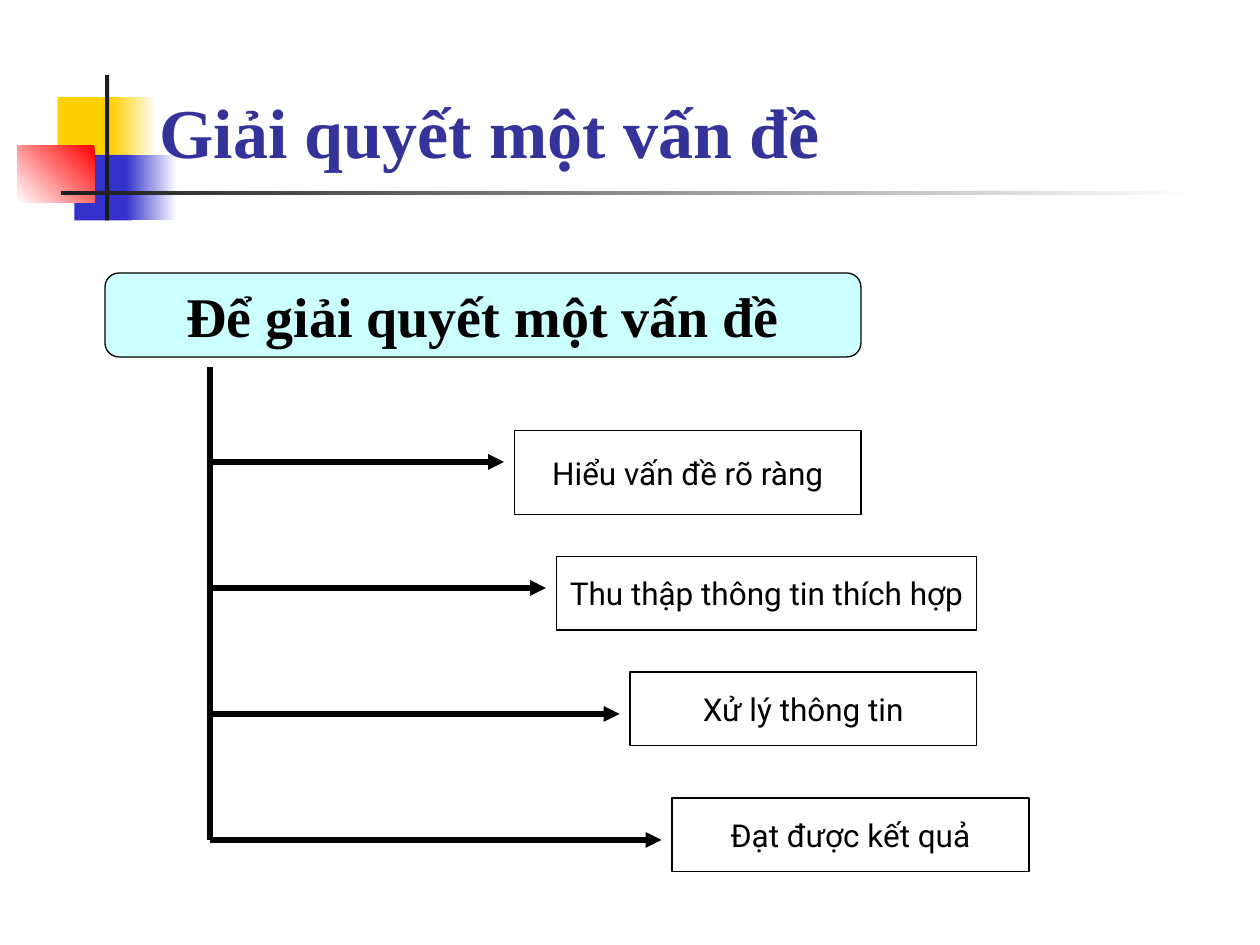
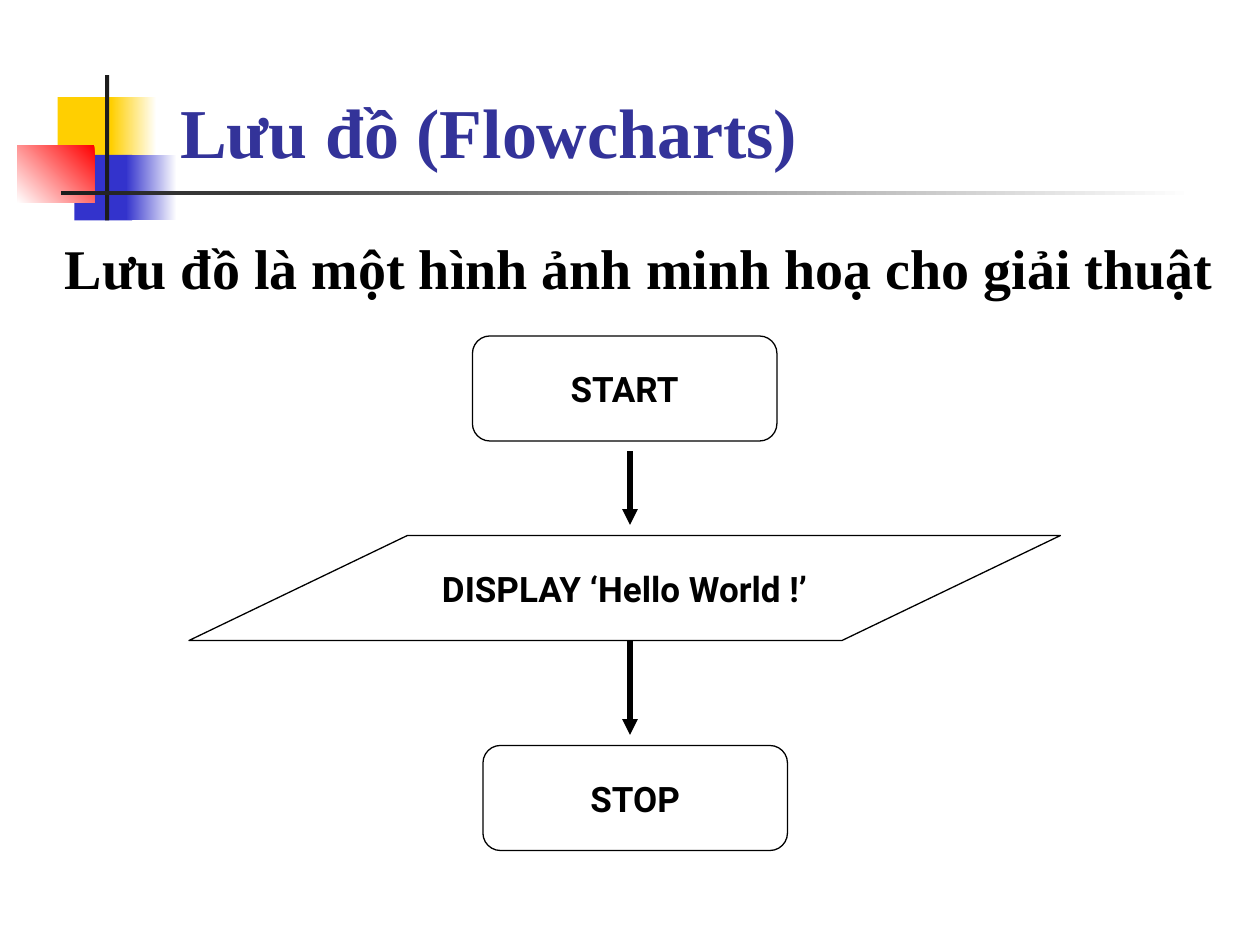
from lxml.etree import SubElement
from pptx import Presentation
from pptx.dml.color import RGBColor
from pptx.enum.shapes import MSO_CONNECTOR, MSO_SHAPE
from pptx.enum.text import MSO_ANCHOR, PP_ALIGN
from pptx.oxml.ns import qn
from pptx.util import Pt

WHITE = RGBColor(0xFF, 0xFF, 0xFF)
BLACK = RGBColor(0x00, 0x00, 0x00)
YELLOW = RGBColor(0xFF, 0xCF, 0x01)
BLUE = RGBColor(0x33, 0x33, 0xCC)
RED = RGBColor(0xFF, 0x00, 0x00)
DARK = RGBColor(0x1C, 0x1C, 0x1C)
NAVY = RGBColor(0x33, 0x33, 0x99)
CYAN = RGBColor(0xCC, 0xFF, 0xFF)
SERIF = "Times New Roman"
SANS = "Roboto"


def write(frame, text, face, size, bold=False, color=BLACK):
    """Put one styled paragraph in a text frame and return it."""
    para = frame.paragraphs[0]
    para.text = text
    font = para.font
    font.name, font.size, font.bold = face, Pt(size), bold
    font.color.rgb = color
    return para


def block(slide, box, fill, kind=MSO_SHAPE.RECTANGLE):
    """Add a flat shape without an outline."""
    shape = slide.shapes.add_shape(kind, *map(Pt, box))
    shape.shadow.inherit = False
    shape.line.fill.background()
    shape.fill.solid()
    shape.fill.fore_color.rgb = fill
    return shape


def fade(slide, box, start, end, angle=180):
    """Add a block with a two-colour gradient."""
    fill = block(slide, box, start).fill
    fill.gradient()
    fill.gradient_angle = angle
    for stop, color, place in zip(fill.gradient_stops, (start, end), (0, 1)):
        stop.color.rgb = color
        stop.position = place


def node(slide, box, text, face, size, bold=False, fill=WHITE,
         kind=MSO_SHAPE.RECTANGLE):
    """Add an outlined shape with centred text."""
    shape = block(slide, box, fill, kind)
    shape.line.color.rgb = BLACK
    shape.line.width = Pt(0.75)
    frame = shape.text_frame
    frame.word_wrap = False
    frame.vertical_anchor = MSO_ANCHOR.MIDDLE
    write(frame, text, face, size, bold).alignment = PP_ALIGN.CENTER
    return shape


def link(slide, ends, head=True):
    """Draw a thick straight line, with an arrowhead if asked."""
    line = slide.shapes.add_connector(MSO_CONNECTOR.STRAIGHT, *map(Pt, ends))
    line.line.color.rgb = BLACK
    line.line.width = Pt(3)
    props = line.element.spPr
    if head:
        SubElement(props.get_or_add_ln(), qn("a:tailEnd"), type="triangle")
    SubElement(props, qn("a:effectLst"))


def label(slide, box, text, size, color=BLACK, anchor=MSO_ANCHOR.TOP):
    """Add a bold serif text box."""
    frame = slide.shapes.add_textbox(*map(Pt, box)).text_frame
    frame.word_wrap = True
    frame.vertical_anchor = anchor
    write(frame, text, SERIF, size, True, color)


def motif(slide, left, top):
    """Draw the coloured squares and crossing rules from a corner."""
    def at(x, y, wide, high):
        return left + x, top + y, wide, high

    block(slide, at(23, 12.5, 34.5, 37.5), YELLOW)
    fade(slide, at(53.5, 12.5, 26, 37.5), WHITE, YELLOW)
    block(slide, at(32.5, 45.5, 33, 37.5), BLUE)
    fade(slide, at(62, 45.5, 29, 37.5), WHITE, BLUE)
    fade(slide, at(0, 40, 44, 33), RED, WHITE, 225)
    block(slide, at(50, 0, 2.4, 83), DARK)
    fade(slide, at(24.6, 66.2, 648, 2.4), WHITE, DARK)


def page(deck, title, left):
    """Add a slide with the shared motif and title."""
    slide = deck.slides.add_slide(deck.slide_layouts[6])
    motif(slide, 10, 43)
    box = (left, 36, 702 - left, 66)
    label(slide, box, title, 40, NAVY, MSO_ANCHOR.BOTTOM)
    return slide


def tree(slide, left, top):
    """Draw the banner and its four branching steps."""
    banner = (left, top, 432, 48)
    node(slide, banner, "Ðể giải quyết một vấn đề", SERIF, 32, True,
         CYAN, MSO_SHAPE.ROUNDED_RECTANGLE)
    stem, first, gap = left + 60, top + 108, 72
    steps = (
        (234, 90, 198, 48, "Hiểu vấn đề rõ ràng"),
        (258, 162, 240, 42, "Thu thập thông tin thích hợp"),
        (300, 228, 198, 42, "Xử lý thông tin"),
        (324, 300, 204, 42, "Ðạt được kết quả"),
    )
    for row, (x, y, wide, high, text) in enumerate(steps):
        level = first + row * gap
        link(slide, (stem, level, left + x - 6, level))
        node(slide, (left + x, top + y, wide, high), text, SANS, 18)
    link(slide, (stem, top + 54, stem, level), False)


def flow(slide, left, top):
    """Draw the three-step flowchart with its arrows."""
    round_box = MSO_SHAPE.ROUNDED_RECTANGLE
    steps = (
        (162, 0, 174, "START", round_box),
        (0, 114, 498, "DISPLAY ‘Hello World !’", MSO_SHAPE.PARALLELOGRAM),
        (168, 234, 174, "STOP", round_box),
    )
    for x, y, wide, text, kind in steps:
        shape = node(slide, (left + x, top + y, wide, 60), text, SANS, 20,
                     True, kind=kind)
        if kind == MSO_SHAPE.PARALLELOGRAM:
            shape.adjustments[0] = 2.08
    mid = left + 252
    for start, end in ((66, 108), (174, 228)):
        link(slide, (mid, top + start, mid, top + end))


def main():
    """Build and save both slides."""
    deck = Presentation()
    deck.slide_width, deck.slide_height = Pt(720), Pt(540)
    tree(page(deck, "Giải quyết một vấn đề", 84), 60, 156)
    chart = page(deck, "Lưu đồ (Flowcharts)", 96)
    label(chart, (30, 130, 672, 46),
          "Lưu đồ là một hình ảnh minh hoạ cho giải thuật", 32)
    flow(chart, 108, 192)
    deck.save("out.pptx")


if __name__ == "__main__":
    main()
